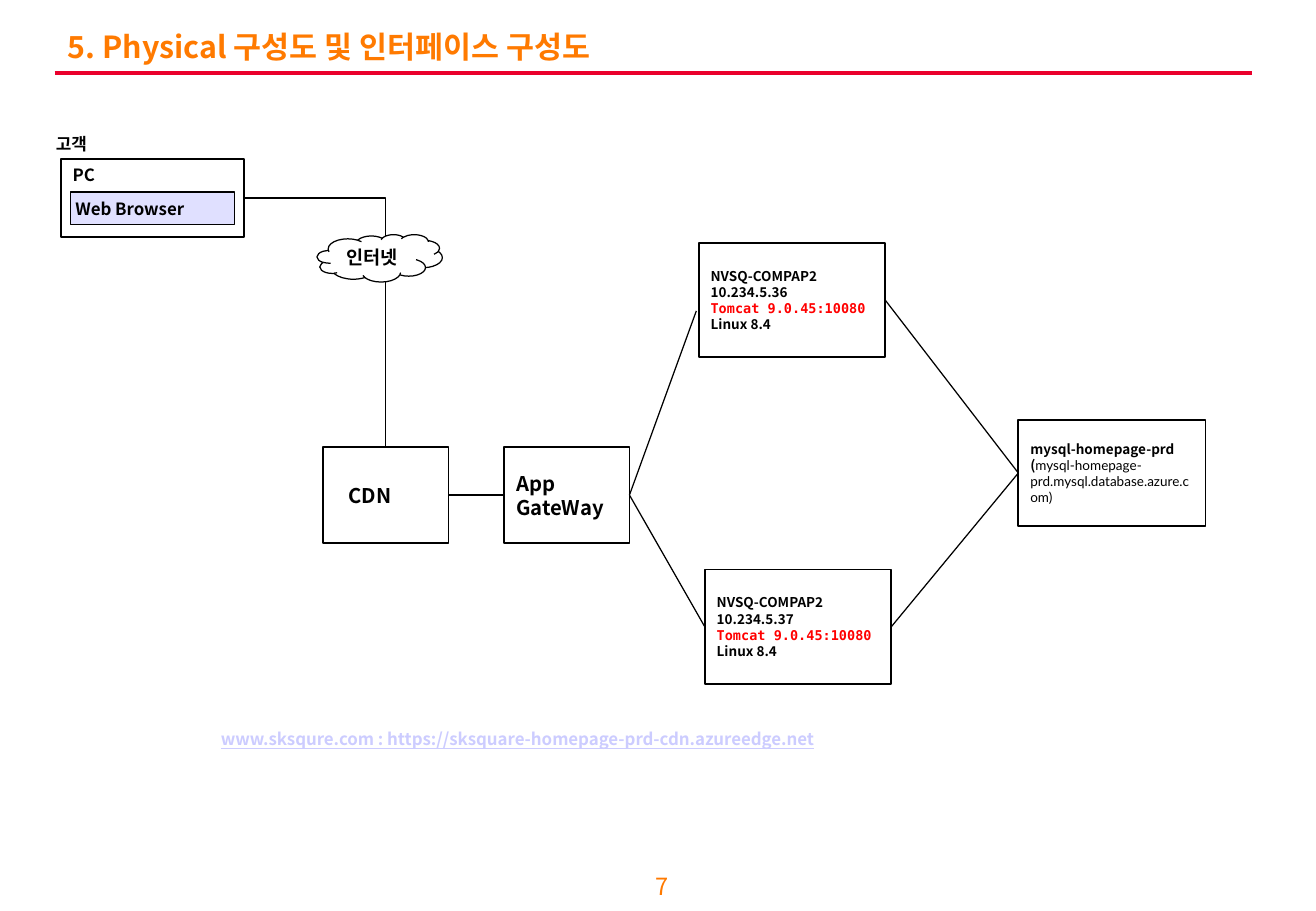
"""Builds the physical and interface architecture slide."""
from lxml.etree import SubElement
from pptx import Presentation
from pptx.dml.color import RGBColor
from pptx.enum.shapes import MSO_CONNECTOR, MSO_SHAPE
from pptx.enum.text import MSO_ANCHOR, PP_ALIGN
from pptx.oxml.ns import qn
from pptx.util import Pt

BLACK = RGBColor(0x00, 0x00, 0x00)
WHITE = RGBColor(0xFF, 0xFF, 0xFF)
RED = RGBColor(0xFF, 0x00, 0x00)
ORANGE = RGBColor(0xFF, 0x7A, 0x00)
CRIMSON = RGBColor(0xEA, 0x00, 0x2C)
LAVENDER = RGBColor(0xCC, 0xCC, 0xFF)

NOTO, MONO, LATO = "Noto Sans CJK KR", "DejaVu Sans Mono", "Lato"
LINE_HEIGHT = 1.2
INSETS = (7.2, 3.6)
TOP, MIDDLE = MSO_ANCHOR.TOP, MSO_ANCHOR.MIDDLE
STRAIGHT, ELBOW = MSO_CONNECTOR.STRAIGHT, MSO_CONNECTOR.ELBOW
SITE_TOP, SITE_LEFT, SITE_RIGHT = 0, 1, 3


def run(text, font=NOTO, color=BLACK, bold=True, underline=False):
    return text, font, color, bold, underline


def server(address):
    return [[run("NVSQ-COMPAP2\n" + address)],
            [run("Tomcat 9.0.45:10080", MONO, RED)],
            [run("Linux 8.4")]]


DATABASE = [[run("mysql-homepage-prd\n("),
             run("mysql-homepage-prd.mysql.database.azure.com)", LATO, bold=False)]]
URL = "www.sksqure.com : https://sksquare-homepage-prd-cdn.azureedge.net"

LABELS = [
    ((367.2, 514, 49.7, 22.3), 14, [[run("7", color=ORANGE, bold=False)]],
     MIDDLE, INSETS, PP_ALIGN.CENTER),
    ((33.1, 14.4, 709.9, 26.6), 18,
     [[run("5. Physical 구성도 및 인터페이스 구성도", color=ORANGE)]],
     MIDDLE, INSETS, PP_ALIGN.LEFT),
    ((30.2, 77.8, 120.2, 15.1), 10, [[run("고객")]], TOP, (2.9, 1.4), PP_ALIGN.LEFT),
    ((123.8, 428.4, 390.2, 19.4), 10, [[run(URL, color=LAVENDER, underline=True)]],
     TOP, INSETS, PP_ALIGN.LEFT),
]
NODES = {
    "pc": ((36, 94.3, 108.7, 46.1), 10, [[run("PC")]], TOP, INSETS),
    "browser": ((41.8, 113.8, 97.2, 19.4), 10, [[run("Web Browser")]], MIDDLE, (2.9, 3.6)),
    "cdn": ((191.5, 265, 74.2, 56.9), 12, [[run("CDN")]], MIDDLE, (15, 3.6)),
    "gateway": ((298.8, 265, 74.2, 56.9), 12, [[run("App GateWay")]], MIDDLE, INSETS),
    "server 1": ((414, 144, 110.5, 67.7), 8, server("10.234.5.36"), MIDDLE, INSETS),
    "server 2": ((417.6, 337.7, 110.5, 67.7), 8, server("10.234.5.37"), MIDDLE, INSETS),
    "database": ((603.4, 249.1, 110.9, 62.6), 8, DATABASE, MIDDLE, INSETS),
}
FILLS = {"pc": (WHITE, 100), "browser": (LAVENDER, 60)}
LINKS = [
    ("pc", SITE_RIGHT, "cdn", SITE_TOP, ELBOW),
    ("cdn", SITE_RIGHT, "gateway", SITE_LEFT, ELBOW),
    ("gateway", SITE_RIGHT, "server 2", SITE_LEFT, STRAIGHT),
    ("database", SITE_LEFT, "server 1", SITE_RIGHT, STRAIGHT),
    ("database", SITE_LEFT, "server 2", SITE_RIGHT, STRAIGHT),
]
GATEWAY_TO_SERVER_1 = (412.6, 184.3, 373, 293.4)
TITLE_RULE = (32.4, 43.2, 741.6, 43.2)
CLOUD = (187.9, 139, 74.2, 28.1)


def write(s, size, paragraphs, anchor, insets, align=PP_ALIGN.LEFT):
    tf = s.text_frame
    tf.word_wrap = True
    tf.vertical_anchor = anchor
    tf.margin_left = tf.margin_right = Pt(insets[0])
    tf.margin_top = tf.margin_bottom = Pt(insets[1])
    for i, runs in enumerate(paragraphs):
        p = tf.add_paragraph() if i else tf.paragraphs[0]
        p.alignment = align
        p.line_spacing = Pt(round(size * LINE_HEIGHT, 1))
        for text, font, color, bold, underline in runs:
            for j, line in enumerate(text.split("\n")):
                if j:
                    p.add_line_break()
                r = p.add_run()
                r.text = line
                r.font.size = Pt(size)
                r.font.name = font
                r.font.bold = bold
                r.font.color.rgb = color
                if underline:
                    r.font.underline = True
                SubElement(r.font._element, qn("a:ea")).set("typeface", font)


def add_box(slide, kind, box, width, fill=None, opacity=100):
    s = slide.shapes.add_shape(kind, *map(Pt, box))
    s.shadow.inherit = False
    s.line.color.rgb = BLACK
    s.line.width = Pt(width)
    if fill is None:
        s.fill.background()
    else:
        s.fill.solid()
        s.fill.fore_color.rgb = fill
    if opacity < 100:
        color = s._element.spPr.find(qn("a:solidFill"))[0]
        SubElement(color, qn("a:alpha")).set("val", str(opacity * 1000))
    return s


def add_line(slide, ends, kind=STRAIGHT, color=BLACK, width=0.75):
    c = slide.shapes.add_connector(kind, *map(Pt, ends))
    c.line.color.rgb = color
    c.line.width = Pt(width)
    SubElement(c._element.spPr, qn("a:effectLst"))
    return c


def main():
    prs = Presentation()
    prs.slide_width, prs.slide_height = Pt(779.76), Pt(540)
    slide = prs.slides.add_slide(prs.slide_layouts[6])

    add_line(slide, TITLE_RULE, color=CRIMSON, width=2.25)
    for box, *text in LABELS:
        write(slide.shapes.add_textbox(*map(Pt, box)), *text)

    nodes = {}
    for name, (box, *text) in NODES.items():
        nodes[name] = add_box(slide, MSO_SHAPE.RECTANGLE, box, 1, *FILLS.get(name, ()))
        write(nodes[name], *text)

    add_line(slide, GATEWAY_TO_SERVER_1)
    for start, start_site, end, end_site, kind in LINKS:
        c = add_line(slide, (0, 0, 0, 0), kind)
        c.begin_connect(nodes[start], start_site)
        c.end_connect(nodes[end], end_site)
        if end_site == SITE_TOP:
            c._element.spPr.find(qn("a:prstGeom")).set("prst", "bentConnector2")

    cloud = add_box(slide, MSO_SHAPE.CLOUD, CLOUD, 0.75, WHITE)
    write(cloud, 11, [[run("인터넷")]], MIDDLE, INSETS)
    prs.save("out.pptx")


if __name__ == "__main__":
    main()
